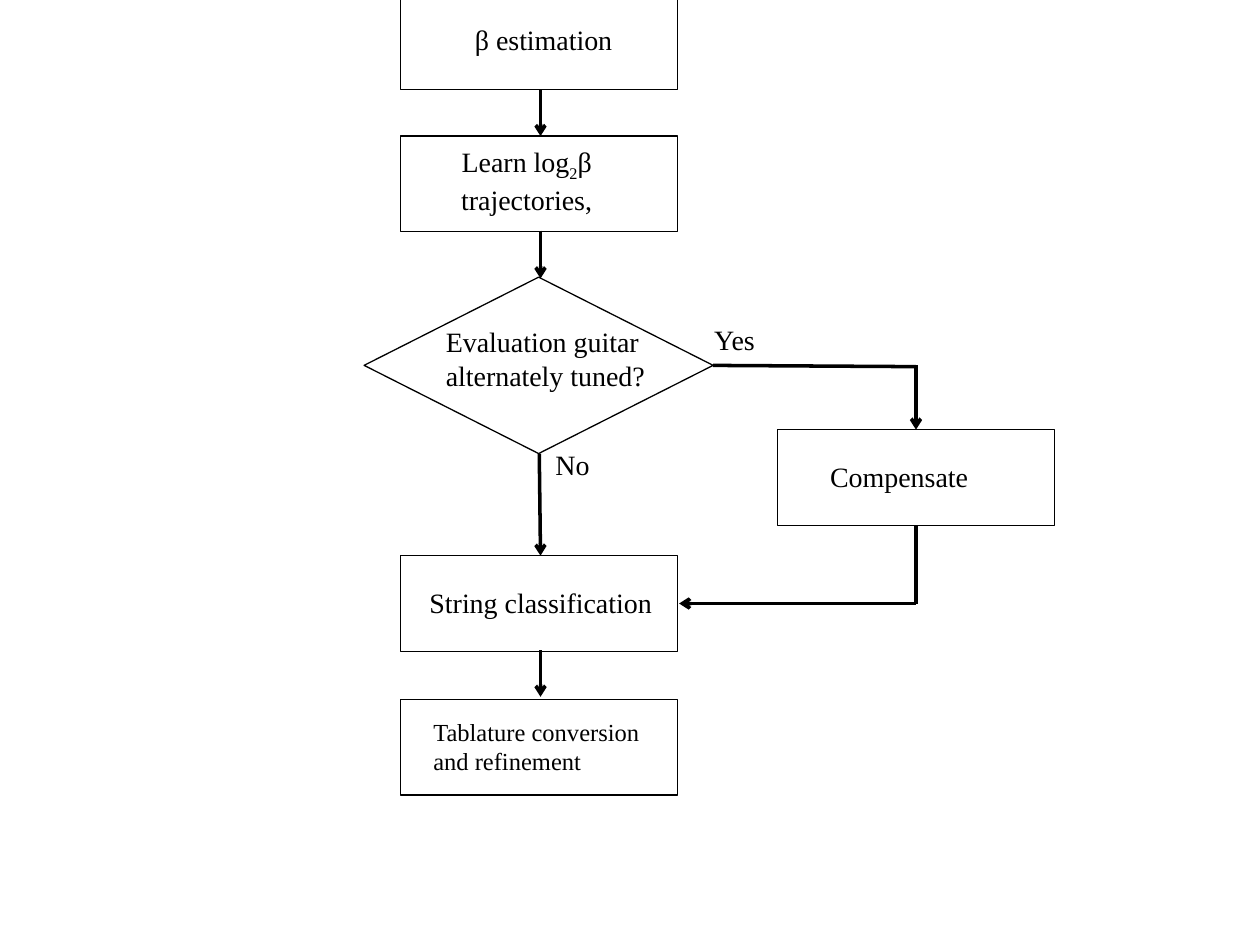
from lxml.etree import SubElement
from pptx import Presentation
from pptx.dml.color import RGBColor
from pptx.enum.shapes import MSO_CONNECTOR, MSO_SHAPE
from pptx.enum.text import MSO_AUTO_SIZE, PP_ALIGN
from pptx.oxml.ns import qn
from pptx.util import Inches, Pt

COLORS = {"ink": "000000"}
FONT = "Times New Roman"
INK = RGBColor.from_string(COLORS["ink"])
BOX_W, BOX_H = 2.2, 0.76
LEFT, RIGHT = 3.18, 6.17
MID, SIDE = 4.29, 7.27


def add_node(slide, left, top, width=BOX_W, height=BOX_H,
             kind=MSO_SHAPE.FLOWCHART_PROCESS):
    node = slide.shapes.add_shape(
        kind, Inches(left), Inches(top), Inches(width), Inches(height))
    node.shadow.inherit = False
    node.fill.background()
    node.line.color.rgb = INK
    node.line.width = Pt(0.75)


def add_text(slide, left, top, width, height, runs, size=16, align=None, wrap=True):
    box = slide.shapes.add_textbox(
        Inches(left), Inches(top), Inches(width), Inches(height))
    frame = box.text_frame
    frame.word_wrap = wrap
    frame.auto_size = MSO_AUTO_SIZE.SHAPE_TO_FIT_TEXT
    para = frame.paragraphs[0]
    para.alignment = align
    for text, base in runs:
        run = para.add_run()
        run.text = text
        run.font.name = FONT
        run.font.size = Pt(size)
        run.font.color.rgb = INK
        if base:
            run._r.get_or_add_rPr().set("baseline", str(base * 1000))


def add_line(slide, start, end, arrow=True):
    line = slide.shapes.add_connector(
        MSO_CONNECTOR.STRAIGHT, *map(Inches, start + end))
    line.line.color.rgb = INK
    line.line.width = Pt(2)
    if arrow:
        SubElement(line.line._get_or_add_ln(), qn("a:tailEnd"), type="arrow")
    SubElement(line._element.spPr, qn("a:effectLst"))


def main():
    """Build the flow chart of the guitar tablature steps."""
    deck = Presentation()
    deck.slide_width, deck.slide_height = Inches(10), Inches(7.5)
    slide = deck.slides.add_slide(deck.slide_layouts[6])

    for left, top in ((LEFT, -0.05), (LEFT, 1.08), (RIGHT, 3.41),
                      (LEFT, 4.41), (LEFT, 5.55)):
        add_node(slide, left, top)
    add_node(slide, 2.89, 2.2, 2.77, 1.4, MSO_SHAPE.FLOWCHART_DECISION)

    for start, end, arrow in (
        ((MID, 0.71), (MID, 1.08), True),
        ((MID, 1.83), (MID, 2.21), True),
        ((4.28, 3.6), (MID, 4.41), True),
        ((MID, 5.16), (MID, 5.53), True),
        ((5.66, 2.9), (SIDE, 2.91), False),
        ((SIDE, 2.9), (SIDE, 3.41), True),
        ((SIDE, 4.79), (SIDE, 4.17), False),
        ((SIDE, 4.79), (5.39, 4.79), True),
    ):
        add_line(slide, start, end, arrow)

    for left, top, width, height, text in (
        (3.67, 0.13, 1.58, 0.37, "β estimation"),
        (3.44, 2.53, 2, 0.64, "Evaluation guitar alternately tuned?"),
        (6.49, 3.6, 1.4, 0.37, "Compensate"),
        (3.31, 4.6, 2.09, 0.37, "String classification"),
    ):
        add_text(slide, left, top, width, height, [(text, 0)])
    add_text(slide, 3.07, 1.1, 2.22, 0.64,
             [("Learn log", 0), ("2", -25), ("β trajectories,", 0)],
             align=PP_ALIGN.CENTER)
    add_text(slide, 3.34, 5.64, 2.09, 0.57,
             [("Tablature conversion and refinement", 0)], size=14)
    add_text(slide, 5.57, 2.51, 0.53, 0.37, [("Yes", 0)], wrap=False)
    add_text(slide, 4.31, 3.5, 0.48, 0.37, [("No", 0)], wrap=False)

    deck.save("out.pptx")


if __name__ == "__main__":
    main()
